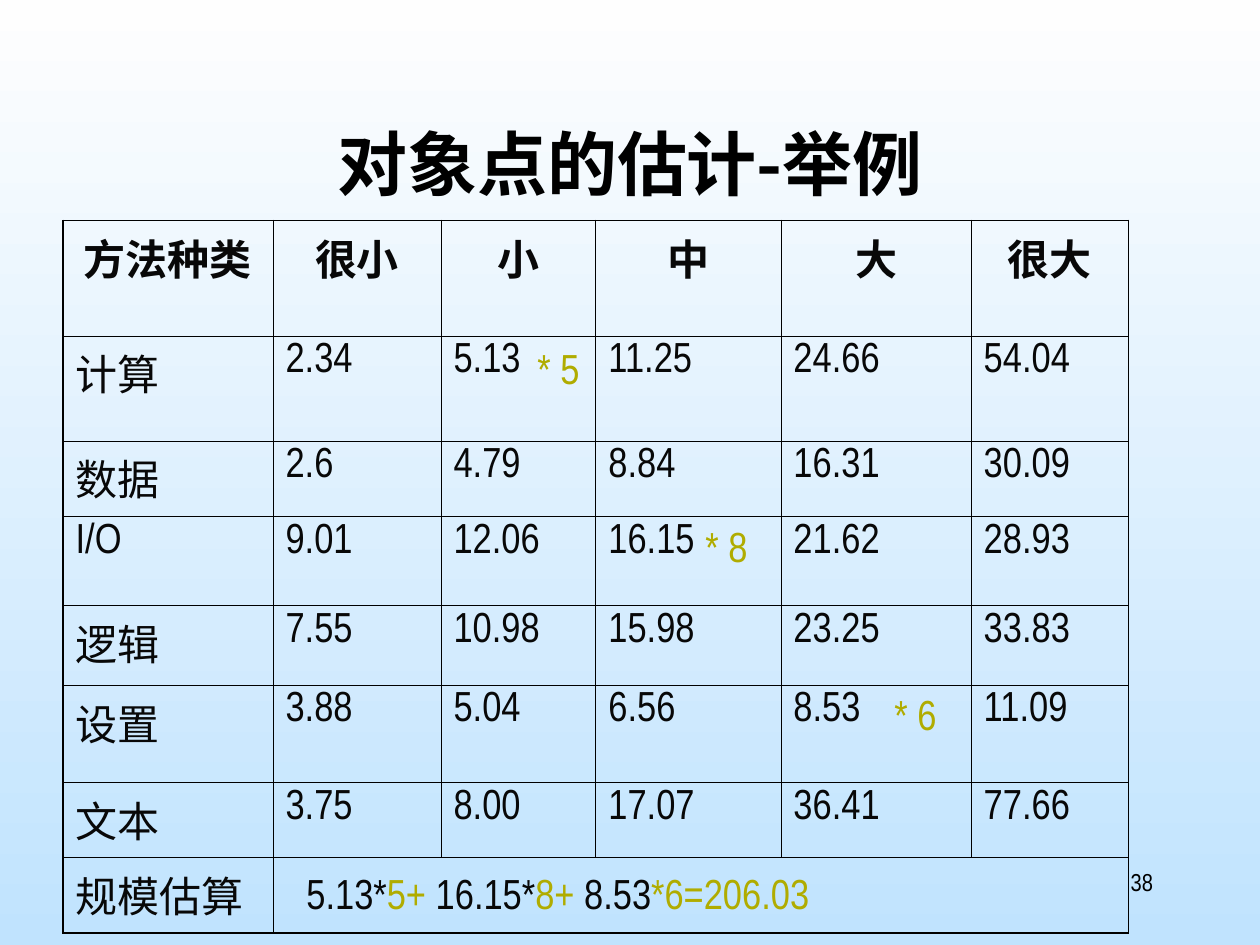
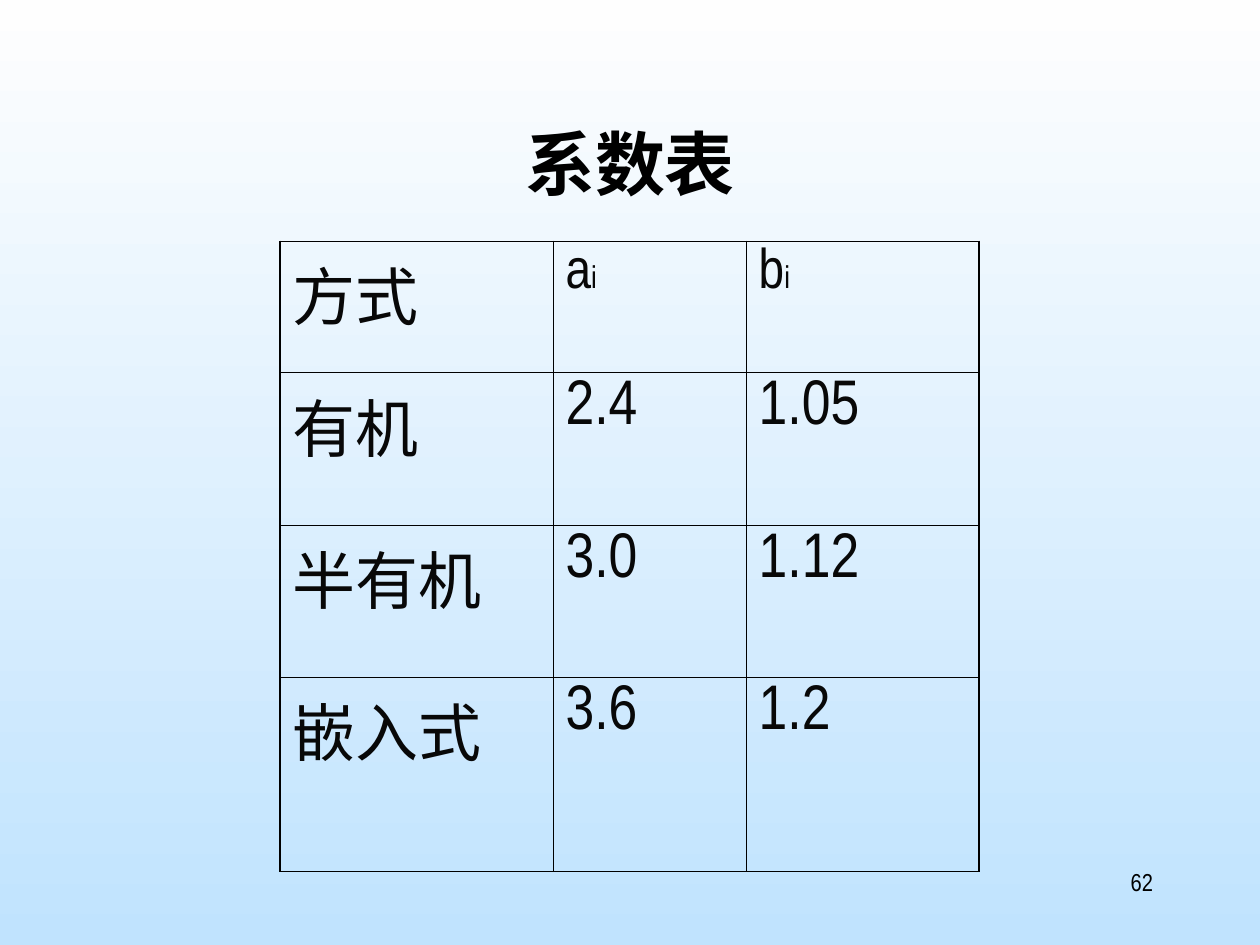
from lxml import etree
from pptx import Presentation
from pptx.dml.color import RGBColor
from pptx.enum.text import MSO_ANCHOR, PP_ALIGN
from pptx.oxml.ns import qn
from pptx.util import Pt

BLACK = RGBColor(0x00, 0x00, 0x00)
INK = RGBColor(0x08, 0x08, 0x08)
OLIVE = RGBColor(0xB0, 0xAC, 0x00)
SKY_TOP = RGBColor(0xFE, 0xFE, 0xFE)
SKY_BOTTOM = RGBColor(0xC0, 0xE3, 0xFE)
LATIN_FONT = "Arial Narrow"
CHINESE_FONT = "Noto Sans CJK SC"
THICK, THIN = Pt(1.08), Pt(0.45)


def add_run(para, text, size, color=INK, bold=False, font=LATIN_FONT):
    span = para.add_run()
    span.text = text
    span.font.name = font
    span.font.size = Pt(size)
    span.font.bold = bold
    span.font.color.rgb = color
    east_asian = etree.SubElement(span.font._element, qn("a:ea"))
    east_asian.set("typeface", CHINESE_FONT)


def add_grid(page, left, top, widths, heights, rows, size, bold_header=False):
    """Add an unfilled table with a thick outer frame; a cell is text or (text, size) runs."""
    table = page.shapes.add_table(len(heights), len(widths), Pt(left), Pt(top),
                                  Pt(sum(widths)), Pt(sum(heights))).table
    table.first_row = table.horz_banding = False
    for column, width in zip(table.columns, widths):
        column.width = Pt(width)
    for row, height in zip(table.rows, heights):
        row.height = Pt(height)
    last_row, last_column = len(heights) - 1, len(widths) - 1
    for r, values in enumerate(rows):
        for c, value in enumerate(values):
            cell = table.cell(r, c)
            properties = cell._tc.get_or_add_tcPr()
            on_edge = {"a:lnL": c == 0, "a:lnR": c == last_column,
                       "a:lnT": r == 0, "a:lnB": r == last_row}
            for side, outer in on_edge.items():
                line = etree.SubElement(properties, qn(side), w=str(THICK if outer else THIN))
                solid = etree.SubElement(line, qn("a:solidFill"))
                etree.SubElement(solid, qn("a:srgbClr"), val=str(BLACK))
            cell.fill.background()
            para = cell.text_frame.paragraphs[0]
            header = bold_header and r == 0
            if header:
                para.alignment = PP_ALIGN.CENTER
            runs = [(value, size)] if isinstance(value, str) else value
            for text, run_size in runs:
                if text:
                    add_run(para, text, run_size, bold=header)
    return table


deck = Presentation()
deck.slide_width, deck.slide_height = Pt(720), Pt(540)
sky = deck.slide_master.background.fill
sky.gradient()
sky.gradient_angle = 270
for stop, color, position in zip(sky.gradient_stops, (SKY_TOP, SKY_BOTTOM), (0, 1)):
    stop.color.rgb = color
    stop.position = position

pages = []
for title_text, page_number in (("对象点的估计-举例", "38"), ("系数表", "62")):
    page = deck.slides.add_slide(deck.slide_layouts[5])
    title = page.shapes.title
    title.left, title.top, title.width, title.height = Pt(54), Pt(48), Pt(612), Pt(90)
    title.text_frame.vertical_anchor = MSO_ANCHOR.MIDDLE
    para = title.text_frame.paragraphs[0]
    para.alignment = PP_ALIGN.CENTER
    add_run(para, title_text, 40, BLACK, True, CHINESE_FONT)

    box = page.shapes.add_textbox(Pt(516), Pt(492), Pt(150), Pt(36))
    box.text_frame.word_wrap = True
    para = box.text_frame.paragraphs[0]
    para.alignment = PP_ALIGN.RIGHT
    add_run(para, page_number, 14, BLACK)
    pages.append(page)
example_page, coefficient_page = pages

# Object point estimate
method_rows = [
    ["方法种类", "很小", "小", "中", "大", "很大"],
    ["计算", "2.34", "5.13", "11.25", "24.66", "54.04"],
    ["数据", "2.6", "4.79", "8.84", "16.31", "30.09"],
    ["I/O", "9.01", "12.06", "16.15", "21.62", "28.93"],
    ["逻辑", "7.55", "10.98", "15.98", "23.25", "33.83"],
    ["设置", "3.88", "5.04", "6.56", "8.53", "11.09"],
    ["文本", "3.75", "8.00", "17.07", "36.41", "77.66"],
    ["规模估算", "", "", "", "", ""],
]
method_table = add_grid(example_page, 36, 126, [120, 96, 88.5, 105.75, 108.75, 90],
                        [66, 60, 43, 51, 45.5, 55.5, 43.2, 43.2],
                        method_rows, 24, bold_header=True)
method_table.cell(7, 1).merge(method_table.cell(7, 5))

formula = [("5.13*", INK), ("5+ ", OLIVE), ("16.15*", INK), ("8+ ", OLIVE),
           ("8.53", INK), ("*6=206.03", OLIVE)]
annotations = [
    (300, 192, 42, [("* 5", OLIVE)]),
    (396, 294, 48, [("* 8", OLIVE)]),
    (504, 390, 42, [("* 6", OLIVE)]),
    (168, 492, 348, formula),
]
for left, top, width, runs in annotations:
    box = example_page.shapes.add_textbox(Pt(left), Pt(top), Pt(width), Pt(36))
    box.text_frame.word_wrap = True
    box.text_frame.vertical_anchor = MSO_ANCHOR.BOTTOM
    for text, color in runs:
        add_run(box.text_frame.paragraphs[0], text, 24, color)

# Coefficients
coefficient_rows = [
    ["方式", [("a", 32), ("i", 18)], [("b", 32), ("i", 18)]],
    ["有机", "2.4", "1.05"],
    ["半有机", "3.0", "1.12"],
    ["嵌入式", "3.6", "1.2"],
]
add_grid(coefficient_page, 160, 138, [156, 110.4, 133.2], [75, 87, 87, 111],
         coefficient_rows, 36)

deck.save("out.pptx")
